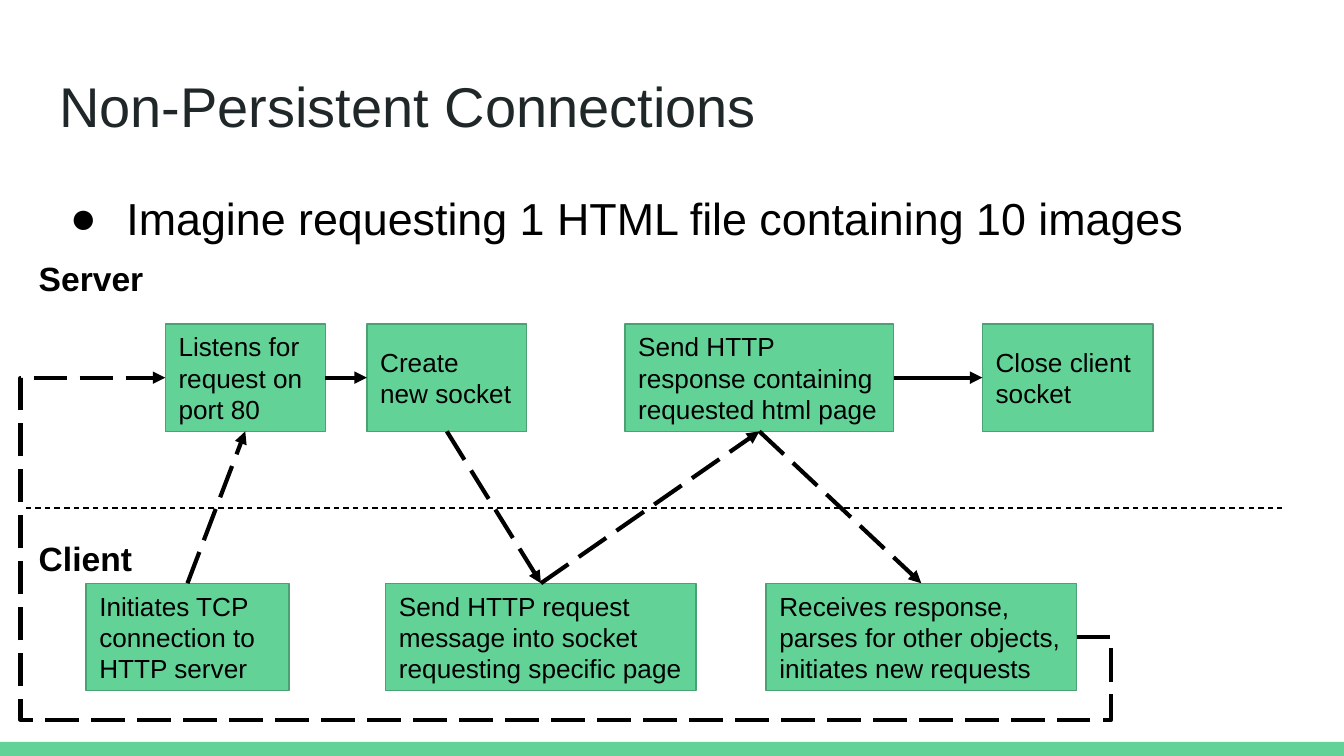
from dataclasses import dataclass

from lxml.etree import SubElement
from pptx import Presentation
from pptx.dml.color import RGBColor
from pptx.enum.dml import MSO_LINE
from pptx.enum.shapes import MSO_CONNECTOR, MSO_SHAPE
from pptx.enum.text import MSO_ANCHOR, MSO_AUTO_SIZE, PP_ALIGN
from pptx.oxml.ns import qn
from pptx.shapes.autoshape import Shape
from pptx.shapes.connector import Connector
from pptx.slide import Slide
from pptx.text.text import TextFrame
from pptx.util import Inches, Pt

GREEN = RGBColor(0x63, 0xD2, 0x97)
DARK_GREEN = RGBColor(0x4B, 0xA1, 0x73)
CHARCOAL = RGBColor(0x20, 0x27, 0x29)
BLACK = RGBColor(0, 0, 0)
FONT = "Arial"

PAGE_WIDTH = 10
PAGE_HEIGHT = PAGE_WIDTH * 9 / 16
SERVER_TOP, CLIENT_TOP, STEP_HEIGHT = 2.41, 4.34, 0.8
TOP, LEFT, BOTTOM, RIGHT = range(4)


@dataclass
class Step:
    name: str
    text: str
    left: float
    top: float
    width: float


@dataclass
class Flow:
    start: str
    start_side: int
    end: str
    end_side: int
    dashed: bool = True


STEPS = [
    Step("listen", "Listens for request on port 80", 1.23, SERVER_TOP, 1.19),
    Step("create", "Create new socket", 2.73, SERVER_TOP, 1.19),
    Step("respond", "Send HTTP response containing requested html page",
         4.65, SERVER_TOP, 2),
    Step("close", "Close client socket", 7.31, SERVER_TOP, 1.27),
    Step("initiate", "Initiates TCP connection to HTTP server",
         0.64, CLIENT_TOP, 1.51),
    Step("request", "Send HTTP request message into socket requesting specific page",
         2.87, CLIENT_TOP, 2.31),
    Step("receive", "Receives response, parses for other objects, initiates new requests",
         5.7, CLIENT_TOP, 2.31),
]

FLOWS = [
    Flow("initiate", TOP, "listen", BOTTOM),
    Flow("listen", RIGHT, "create", LEFT, dashed=False),
    Flow("create", BOTTOM, "request", TOP),
    Flow("request", TOP, "respond", BOTTOM),
    Flow("respond", BOTTOM, "receive", TOP),
    Flow("respond", RIGHT, "close", LEFT, dashed=False),
]
REPEAT = Flow("receive", RIGHT, "listen", LEFT)


def write(frame: TextFrame, text: str, size: float, color: RGBColor = BLACK,
          bold: bool = False, anchor: MSO_ANCHOR = MSO_ANCHOR.TOP) -> None:
    frame.text = text
    frame.word_wrap = True
    frame.auto_size = MSO_AUTO_SIZE.NONE
    frame.vertical_anchor = anchor
    frame.margin_left = frame.margin_right = Inches(0.1)
    frame.margin_top = frame.margin_bottom = Inches(0.1)
    para = frame.paragraphs[0]
    para.alignment = PP_ALIGN.LEFT
    para.space_before = Pt(0)
    font = para.runs[0].font
    font.name, font.size, font.bold = FONT, Pt(size), bold
    font.color.rgb = color


def place(shape: Shape, left: float, top: float, width: float, height: float) -> None:
    shape.left, shape.top = Inches(left), Inches(top)
    shape.width, shape.height = Inches(width), Inches(height)


def add_bullet(frame: TextFrame) -> None:
    para = frame.paragraphs[0]
    para.line_spacing = 1.15
    properties = para._p.get_or_add_pPr()
    properties.set("marL", str(Inches(0.5)))
    properties.set("indent", str(Inches(-0.42)))
    color = SubElement(properties, qn("a:buClr"))
    SubElement(color, qn("a:srgbClr")).set("val", str(BLACK))
    SubElement(properties, qn("a:buFont")).set("typeface", FONT)
    SubElement(properties, qn("a:buChar")).set("char", "●")


def add_rectangle(page: Slide, left: float, top: float,
                  width: float, height: float) -> Shape:
    box = page.shapes.add_shape(MSO_SHAPE.RECTANGLE, Inches(left), Inches(top),
                                Inches(width), Inches(height))
    box.shadow.inherit = False
    box.fill.solid()
    box.fill.fore_color.rgb = GREEN
    box.line.fill.background()
    return box


def add_step(page: Slide, step: Step) -> Shape:
    box = add_rectangle(page, step.left, step.top, step.width, STEP_HEIGHT)
    box.line.color.rgb = DARK_GREEN
    box.line.width = Pt(0.75)
    write(box.text_frame, step.text, 14, anchor=MSO_ANCHOR.MIDDLE)
    return box


def add_label(page: Slide, text: str, left: float, top: float, width: float) -> None:
    box = page.shapes.add_textbox(Inches(left), Inches(top), Inches(width), Inches(0.53))
    write(box.text_frame, text, 18, bold=True)


def style_line(line: Connector, width: float) -> None:
    line.line.color.rgb = BLACK
    line.line.width = Pt(width)
    SubElement(line._element.spPr, qn("a:effectLst"))


def add_flow(page: Slide, flow: Flow, boxes: dict[str, Shape],
             kind: MSO_CONNECTOR = MSO_CONNECTOR.STRAIGHT) -> Connector:
    arrow = page.shapes.add_connector(kind, 0, 0, 0, 0)
    arrow.begin_connect(boxes[flow.start], flow.start_side)
    arrow.end_connect(boxes[flow.end], flow.end_side)
    style_line(arrow, 2.25)
    if flow.dashed:
        arrow.line.dash_style = MSO_LINE.LONG_DASH
    SubElement(arrow.line._get_or_add_ln(), qn("a:tailEnd")).set("type", "triangle")
    return arrow


def route_around(arrow: Connector, adjustments: list[int]) -> None:
    """Turn an elbow into a five-part connector that loops outside its ends."""
    frame = arrow._element.spPr.find(qn("a:xfrm"))
    for flip in ("flipH", "flipV"):
        frame.attrib.pop(flip, None)
    frame.set("rot", str(180 * 60000))
    geometry = arrow._element.spPr.find(qn("a:prstGeom"))
    geometry.set("prst", "bentConnector5")
    guides = geometry.find(qn("a:avLst"))
    for number, value in enumerate(adjustments, start=1):
        guide = SubElement(guides, qn("a:gd"))
        guide.set("name", f"adj{number}")
        guide.set("fmla", f"val {value}")


def main() -> None:
    deck = Presentation()
    deck.slide_width, deck.slide_height = Inches(PAGE_WIDTH), Inches(PAGE_HEIGHT)
    page = deck.slides.add_slide(deck.slide_layouts[1])
    add_rectangle(page, 0, 5.52, PAGE_WIDTH, PAGE_HEIGHT - 5.52)

    title, body = page.placeholders
    place(title, 0.34, 0.43, 9.32, 0.68)
    write(title.text_frame, "Non-Persistent Connections", 30, CHARCOAL)
    place(body, 0.34, 1.26, 9.32, 3.74)
    write(body.text_frame, "Imagine requesting 1 HTML file containing 10 images", 24)
    add_bullet(body.text_frame)

    divider = page.shapes.add_connector(MSO_CONNECTOR.STRAIGHT, Inches(0.19), Inches(3.78),
                                        Inches(9.54), Inches(3.78))
    style_line(divider, 0.75)
    divider.line.dash_style = MSO_LINE.DASH
    add_label(page, "Server", 0.19, 1.82, 1.27)
    add_label(page, "Client", 0.19, 3.9, 1.03)

    boxes = {step.name: add_step(page, step) for step in STEPS}
    for flow in FLOWS:
        add_flow(page, flow, boxes)
    loop = add_flow(page, REPEAT, boxes, MSO_CONNECTOR.ELBOW)
    route_around(loop, [-3800, -31900, 115900])

    deck.save("out.pptx")


if __name__ == "__main__":
    main()
